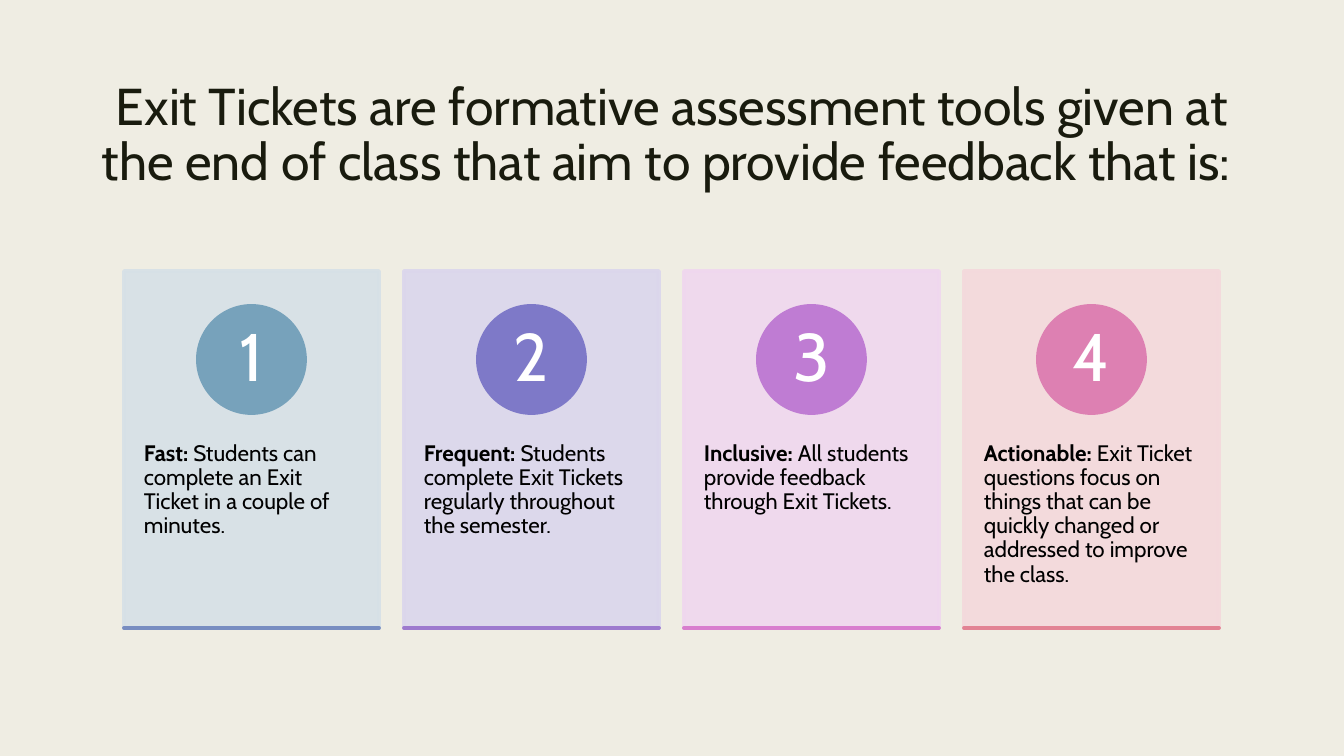
from dataclasses import dataclass

from lxml.etree import SubElement
from pptx import Presentation
from pptx.dml.color import RGBColor
from pptx.enum.shapes import MSO_CONNECTOR as Connector, MSO_SHAPE as Shape
from pptx.enum.text import MSO_ANCHOR as Anchor, PP_ALIGN as Align
from pptx.oxml.ns import qn
from pptx.util import Emu, Pt

PAGE_WIDTH, PAGE_HEIGHT = 1344, 756
CARD_LEFT, CARD_TOP, CARD_WIDTH, CARD_HEIGHT = 124, 271, 255, 357
CARD_STEP = 280
CIRCLE_TOP, CIRCLE_SIZE = 306, 107
BODY_TOP, BODY_HEIGHT = 406, 214
LINE_WIDTH = Pt(2.75)
FONT = "Cabin"
TITLE = ("Exit Tickets are formative assessment tools given at "
         "the end of class that aim to provide feedback that is: ")


@dataclass(frozen=True)
class Card:
    """Wording and colours of one numbered card."""
    heading: str
    body: str
    panel: str
    circle: str
    rule: str


CARDS = (
    Card("Fast: ", "Students can complete an Exit Ticket in a couple of minutes.",
         "D6E0E7", "77A2BB", "788DC1"),
    Card("Frequent: ", "Students complete Exit Tickets regularly throughout the semester.",
         "DBD6EC", "7E79C8", "9D7ACE"),
    Card("Inclusive: ", "All students provide feedback through Exit Tickets.",
         "F0D7EF", "BF7CD3", "D87ECE"),
    Card("Actionable: ", "Exit Ticket questions focus on things that can be quickly "
         "changed or addressed to improve the class.",
         "F4D9DC", "DD80B2", "E28394"),
)


def px(length: int) -> Emu:
    """Turn pixels into EMU."""
    return Emu(round(length * 914400 / 100.8))


def colour(value: str) -> RGBColor:
    """Turn a hex string into a colour."""
    return RGBColor.from_string(value)


def set_frame(frame, across: int, down: int, anchor=Anchor.TOP) -> None:
    """Wrap a text frame and set its insets and anchor."""
    frame.word_wrap = True
    frame.vertical_anchor = anchor
    frame.margin_left = frame.margin_right = px(across)
    frame.margin_top = frame.margin_bottom = px(down)


def style_span(span, size: int, ink: str, bold: bool = False) -> None:
    """Set the font of one run."""
    span.font.name = FONT
    span.font.size = Pt(size)
    span.font.bold = bold
    span.font.color.rgb = colour(ink)


def style_para(para, align: Align, spacing: float) -> None:
    """Set alignment and line spacing of a paragraph."""
    para.alignment = align
    para.line_spacing = spacing


def add_filled(page, kind: Shape, left: int, top: int, width: int, height: int, paint: str):
    """Add a shape whose fill and outline share one colour."""
    shape = page.shapes.add_shape(kind, px(left), px(top), px(width), px(height))
    shape.shadow.inherit = False
    shape.fill.solid()
    shape.fill.fore_color.rgb = colour(paint)
    shape.line.color.rgb = colour(paint)
    shape.line.width = LINE_WIDTH
    return shape


def add_panel(page, left: int, paint: str) -> None:
    """Add the slightly transparent background of a card."""
    panel = add_filled(page, Shape.RECTANGLE, left, CARD_TOP, CARD_WIDTH, CARD_HEIGHT, paint)
    for tint in panel.element.spPr.iter(qn("a:srgbClr")):
        SubElement(tint, qn("a:alpha"), val="90000")


def add_body(page, left: int, card: Card) -> None:
    """Add the bold heading and the text of a card."""
    box = page.shapes.add_textbox(px(left), px(BODY_TOP), px(CARD_WIDTH), px(BODY_HEIGHT))
    set_frame(box.text_frame, 20, 36)
    para = box.text_frame.paragraphs[0]
    style_para(para, Align.LEFT, 0.9)
    for words, bold in ((card.heading, True), (card.body, False)):
        span = para.add_run()
        span.text = words
        style_span(span, 16, "000000", bold)


def add_number(page, left: int, number: int, paint: str) -> None:
    """Add the numbered circle, centred across a card."""
    circle_left = left + (CARD_WIDTH - CIRCLE_SIZE) // 2
    circle = add_filled(page, Shape.OVAL, circle_left, CIRCLE_TOP,
                        CIRCLE_SIZE, CIRCLE_SIZE, paint)
    set_frame(circle.text_frame, 8, 1, Anchor.MIDDLE)
    circle.text_frame.text = str(number)
    para = circle.text_frame.paragraphs[0]
    style_para(para, Align.CENTER, 0.9)
    style_span(para.runs[0], 48, "FFFFFF")


def add_rule(page, left: int, paint: str) -> None:
    """Add the round-ended line along the bottom of a card."""
    bottom = px(CARD_TOP + CARD_HEIGHT)
    rule = page.shapes.add_connector(Connector.STRAIGHT, px(left), bottom,
                                     px(left + CARD_WIDTH), bottom)
    rule.line.color.rgb = colour(paint)
    rule.line.width = LINE_WIDTH
    properties = rule.element.spPr
    properties.find(qn("a:ln")).set("cap", "rnd")
    SubElement(properties, qn("a:effectLst"))


def add_title(page) -> None:
    """Add the centred title."""
    box = page.shapes.add_textbox(px(71), px(76), px(1202), px(163))
    set_frame(box.text_frame, 10, 5)
    box.text_frame.text = TITLE
    para = box.text_frame.paragraphs[0]
    style_para(para, Align.CENTER, 0.89)
    style_span(para.runs[0], 37, "191B0E")


def main() -> None:
    """Build and save the deck."""
    deck = Presentation()
    deck.slide_width, deck.slide_height = px(PAGE_WIDTH), px(PAGE_HEIGHT)
    page = deck.slides.add_slide(deck.slide_layouts[6])
    page.background.fill.solid()
    page.background.fill.fore_color.rgb = colour("EFEDE3")
    add_title(page)
    for index, card in enumerate(CARDS):
        left = CARD_LEFT + index * CARD_STEP
        add_panel(page, left, card.panel)
        add_body(page, left, card)
        add_number(page, left, index + 1, card.circle)
        add_rule(page, left, card.rule)
    deck.save("out.pptx")


if __name__ == "__main__":
    main()
